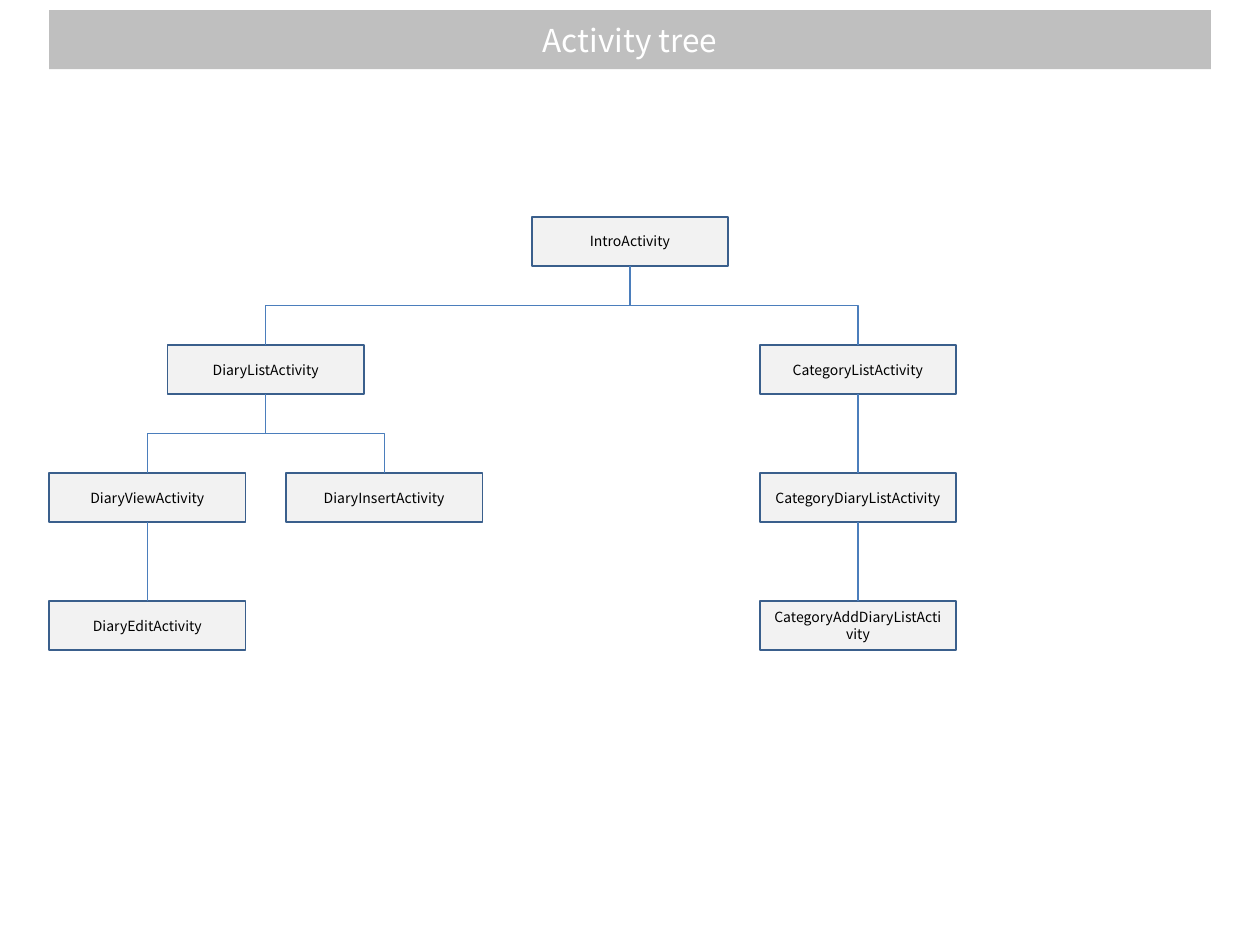
from dataclasses import dataclass
from typing import Optional

from lxml import etree
from pptx import Presentation
from pptx.dml.color import RGBColor
from pptx.enum.shapes import MSO_CONNECTOR, MSO_SHAPE
from pptx.enum.text import MSO_ANCHOR, PP_ALIGN
from pptx.oxml.ns import qn
from pptx.shapes.autoshape import Shape
from pptx.slide import Slide
from pptx.util import Inches, Pt

RECTANGLE = MSO_SHAPE.RECTANGLE
ELBOW = MSO_CONNECTOR.ELBOW
MIDDLE = MSO_ANCHOR.MIDDLE
CENTER = PP_ALIGN.CENTER

FONT = "Noto Sans CJK KR"
SLIDE_WIDTH, SLIDE_HEIGHT = 10, 7.5
MARGIN = 0.39
BOX_WIDTH, BOX_HEIGHT = 1.56, 0.39
COLUMN_STEP = 0.94
FIRST_ROW, LAST_ROW, ROW_GAPS = 1.72, 4.77, 3
ROW_STEP = (LAST_ROW - FIRST_ROW) / ROW_GAPS
MIDDLE_COLUMN = ((SLIDE_WIDTH - BOX_WIDTH) / 2 - MARGIN) / COLUMN_STEP
BOTTOM_SITE, TOP_SITE = 2, 0


@dataclass(frozen=True)
class Activity:
    name: str
    column: float
    row: int
    parent: Optional[str] = None


@dataclass(frozen=True)
class BoxStyle:
    fill: str
    text: str
    size: float
    line: Optional[str] = None


TITLE_STYLE = BoxStyle("BFBFBF", "FFFFFF", 18)
ACTIVITY_STYLE = BoxStyle("F2F2F2", "000000", 8, "3A5F8C")
ACTIVITIES = [
    Activity("IntroActivity", MIDDLE_COLUMN, 0),
    Activity("DiaryListActivity", 1, 1, "IntroActivity"),
    Activity("DiaryViewActivity", 0, 2, "DiaryListActivity"),
    Activity("DiaryEditActivity", 0, 3, "DiaryViewActivity"),
    Activity("DiaryInsertActivity", 2, 2, "DiaryListActivity"),
    Activity("CategoryListActivity", 6, 1, "IntroActivity"),
    Activity("CategoryDiaryListActivity", 6, 2, "CategoryListActivity"),
    Activity("CategoryAddDiaryListActivity", 6, 3, "CategoryDiaryListActivity"),
]


def color(value: str) -> RGBColor:
    return RGBColor.from_string(value)


def add_box(page: Slide, text: str, left: float, top: float,
            width: float, height: float, style: BoxStyle) -> Shape:
    box = page.shapes.add_shape(
        RECTANGLE, Inches(left), Inches(top), Inches(width), Inches(height))
    box.shadow.inherit = False
    box.fill.solid()
    box.fill.fore_color.rgb = color(style.fill)
    if style.line:
        box.line.color.rgb = color(style.line)
        box.line.width = Pt(1)
    else:
        box.line.fill.background()
    frame = box.text_frame
    frame.word_wrap = True
    frame.vertical_anchor = MIDDLE
    para = frame.paragraphs[0]
    para.alignment = CENTER
    span = para.add_run()
    span.text = text
    for name, value in {"name": FONT, "size": Pt(style.size)}.items():
        setattr(span.font, name, value)
    span.font.color.rgb = color(style.text)
    return box


def add_branch(page: Slide, parent: Shape, child: Shape) -> None:
    start_x, start_y = parent.left + parent.width // 2, parent.top + parent.height
    end_x, end_y = child.left + child.width // 2, child.top
    drop, reach = end_y - start_y, abs(end_x - start_x)
    branch = page.shapes.add_connector(ELBOW, start_x, start_y, end_x, end_y)
    branch.begin_connect(parent, BOTTOM_SITE)
    branch.end_connect(child, TOP_SITE)
    placement = {
        "left": (start_x + end_x - drop) // 2,
        "top": (start_y + end_y - reach) // 2,
        "width": drop,
        "height": reach,
    }
    for name, value in placement.items():
        setattr(branch, name, value)
    goes_right = end_x > start_x
    properties = branch._element.spPr
    transform = properties.find(qn("a:xfrm"))
    transform.set("rot", str((270 if goes_right else 90) * 60000))
    transform.set("flipH", "1" if goes_right else "0")
    transform.set("flipV", "0")
    branch.line.color.rgb = color("4B7EBC")
    branch.line.width = Pt(0.75)
    etree.SubElement(properties, qn("a:effectLst"))


def build() -> None:
    deck = Presentation()
    deck.slide_width, deck.slide_height = Inches(SLIDE_WIDTH), Inches(SLIDE_HEIGHT)
    page = deck.slides.add_slide(deck.slide_layouts[6])
    add_box(page, "Activity tree", MARGIN, 0.08,
            SLIDE_WIDTH - 2 * MARGIN, 0.47, TITLE_STYLE)
    boxes = {
        activity.name: add_box(
            page, activity.name,
            MARGIN + activity.column * COLUMN_STEP,
            FIRST_ROW + activity.row * ROW_STEP,
            BOX_WIDTH, BOX_HEIGHT, ACTIVITY_STYLE)
        for activity in ACTIVITIES
    }
    for activity in ACTIVITIES:
        if activity.parent:
            add_branch(page, boxes[activity.parent], boxes[activity.name])
    deck.save("out.pptx")


build()
